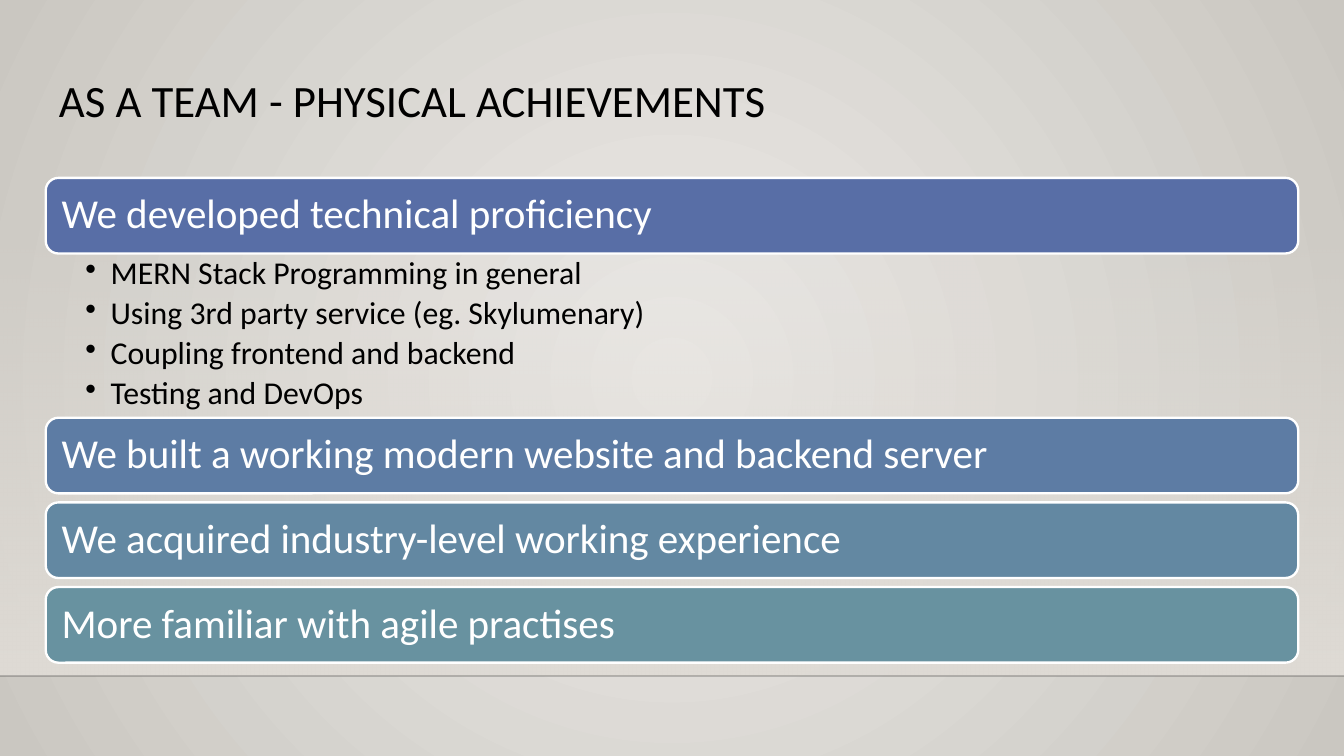
"""Build the slide on the team's physical achievements."""
import lxml.etree
import pptx
import pptx.dml.color
import pptx.enum.shapes
import pptx.enum.text
import pptx.oxml
import pptx.oxml.ns
import pptx.util

Pt = pptx.util.Pt
RGB = pptx.dml.color.RGBColor
qn = pptx.oxml.ns.qn

BLACK = RGB(0x00, 0x00, 0x00)
WHITE = RGB(0xFF, 0xFF, 0xFF)
INK = RGB(0x00, 0x00, 0x01)
GLOW = RGB(0xEC, 0xEA, 0xE7)
EDGE = RGB(0xCA, 0xC7, 0xC1)
WALL = RGB(0xDF, 0xDB, 0xD5)
BLUE = RGB(0x58, 0x6E, 0xA6)
STEEL = RGB(0x5D, 0x7C, 0xA4)
SLATE = RGB(0x63, 0x88, 0xA2)
TEAL = RGB(0x68, 0x92, 0xA0)

FONT = "Calibri"
WIDE, HIGH = 720, 405
LEFT, SPAN = 24.5, 671
BAR, STEP = 40.5, 45.35
FLOOR = 362.2

HEAD = "We developed technical proficiency"
SKILLS = (
    "MERN Stack Programming in general",
    "Using 3rd party service (eg. Skylumenary)",
    "Coupling frontend and backend",
    "Testing and DevOps",
)
GAINS = (
    ("We built a working modern website and backend server", STEEL),
    ("We acquired industry-level working experience", SLATE),
    ("More familiar with agile practises", TEAL),
)
ROUND = (
    '<a:path path="circle"><a:fillToRect l="50000" t="50000" '
    'r="50000" b="50000"/></a:path>'
)
DOWN = '<a:lin ang="5400000" scaled="0"/>'


def blend(root, first, last, alpha, shade):
    """Swap the first solid fill under root for a two-stop gradient."""
    solid = root.find(".//" + qn("a:solidFill"))
    grad = pptx.oxml.parse_xml(
        f'<a:gradFill {pptx.oxml.ns.nsdecls("a")} rotWithShape="1"><a:gsLst>'
        f'<a:gs pos="0"><a:srgbClr val="{first}"><a:alpha val="{alpha}"/></a:srgbClr></a:gs>'
        f'<a:gs pos="100000"><a:srgbClr val="{last}"/></a:gs>'
        f"</a:gsLst>{shade}</a:gradFill>"
    )
    solid.getparent().replace(solid, grad)


def add_back(slide):
    """Paint the background, the wall and the floor line."""
    slide.background.fill.solid()
    blend(slide.element, GLOW, EDGE, 100000, ROUND)

    top = 119.5
    wall = slide.shapes.add_shape(
        pptx.enum.shapes.MSO_SHAPE.RECTANGLE, 0, Pt(top), Pt(WIDE), Pt(FLOOR - top)
    )
    wall.shadow.inherit = False
    wall.fill.solid()
    wall.line.fill.background()
    blend(wall.element, WALL, WALL, 0, DOWN)

    edge = slide.shapes.add_connector(
        pptx.enum.shapes.MSO_CONNECTOR.STRAIGHT, 0, Pt(FLOOR), Pt(WIDE), Pt(FLOOR)
    )
    edge.line.width = Pt(1)
    edge.line.color.rgb = INK
    tint = edge.element.find(".//" + qn("a:ln")).find(".//" + qn("a:srgbClr"))
    lxml.etree.SubElement(tint, qn("a:alpha")).set("val", "20000")
    lxml.etree.SubElement(edge.element.spPr, qn("a:effectLst"))


def set_frame(frame, pads, anchor):
    """Set wrap, margins and anchor of a text frame."""
    frame.word_wrap = True
    frame.vertical_anchor = anchor
    (frame.margin_left, frame.margin_top,
     frame.margin_right, frame.margin_bottom) = map(Pt, pads)


def set_text(para, text, size, color):
    """Write one left-aligned paragraph."""
    para.text = text
    para.alignment = pptx.enum.text.PP_ALIGN.LEFT
    para.line_spacing = 0.9
    para.font.name = FONT
    para.font.size = Pt(size)
    para.font.color.rgb = color


def add_title(slide, text):
    """Add the slide title."""
    box = slide.shapes.add_textbox(Pt(LEFT), Pt(35.3), Pt(SPAN), Pt(45.4))
    set_frame(box.text_frame, [7.2] * 4, pptx.enum.text.MSO_ANCHOR.TOP)
    set_text(box.text_frame.paragraphs[0], text, 24, BLACK)


def add_bar(slide, top, text, color):
    """Add one rounded bar with its label."""
    bar = slide.shapes.add_shape(
        pptx.enum.shapes.MSO_SHAPE.ROUNDED_RECTANGLE,
        Pt(LEFT), Pt(top), Pt(SPAN), Pt(BAR),
    )
    bar.shadow.inherit = False
    bar.fill.solid()
    bar.fill.fore_color.rgb = color
    bar.line.color.rgb = WHITE
    bar.line.width = Pt(1.25)
    set_frame(bar.text_frame, [6.6, 0, 6.6, 0], pptx.enum.text.MSO_ANCHOR.MIDDLE)
    set_text(bar.text_frame.paragraphs[0], text, 22, WHITE)


def add_list(slide, top, items):
    """Add the bulleted list below the first bar."""
    box = slide.shapes.add_textbox(Pt(LEFT), Pt(top), Pt(SPAN), Pt(88))
    frame = box.text_frame
    set_frame(frame, [21.3, 2.2, 12, 2.2], pptx.enum.text.MSO_ANCHOR.TOP)
    for num, item in enumerate(items):
        para = frame.add_paragraph() if num else frame.paragraphs[0]
        props = para._p.get_or_add_pPr()
        props.set("marL", str(Pt(13.5)))
        props.set("indent", str(-Pt(13.5)))
        lxml.etree.SubElement(props, qn("a:buChar")).set("char", "•")
        set_text(para, item, 17, BLACK)
        para.space_after = Pt(3)


def main():
    """Build and save the slide."""
    deck = pptx.Presentation()
    deck.slide_width, deck.slide_height = Pt(WIDE), Pt(HIGH)
    slide = deck.slides.add_slide(deck.slide_layouts[6])
    add_back(slide)
    add_title(slide, "AS A TEAM - PHYSICAL ACHIEVEMENTS")
    add_bar(slide, 95.3, HEAD, BLUE)
    add_list(slide, 135.8, SKILLS)
    for num, (text, color) in enumerate(GAINS):
        add_bar(slide, 223.8 + num * STEP, text, color)
    deck.save("out.pptx")


if __name__ == "__main__":
    main()
